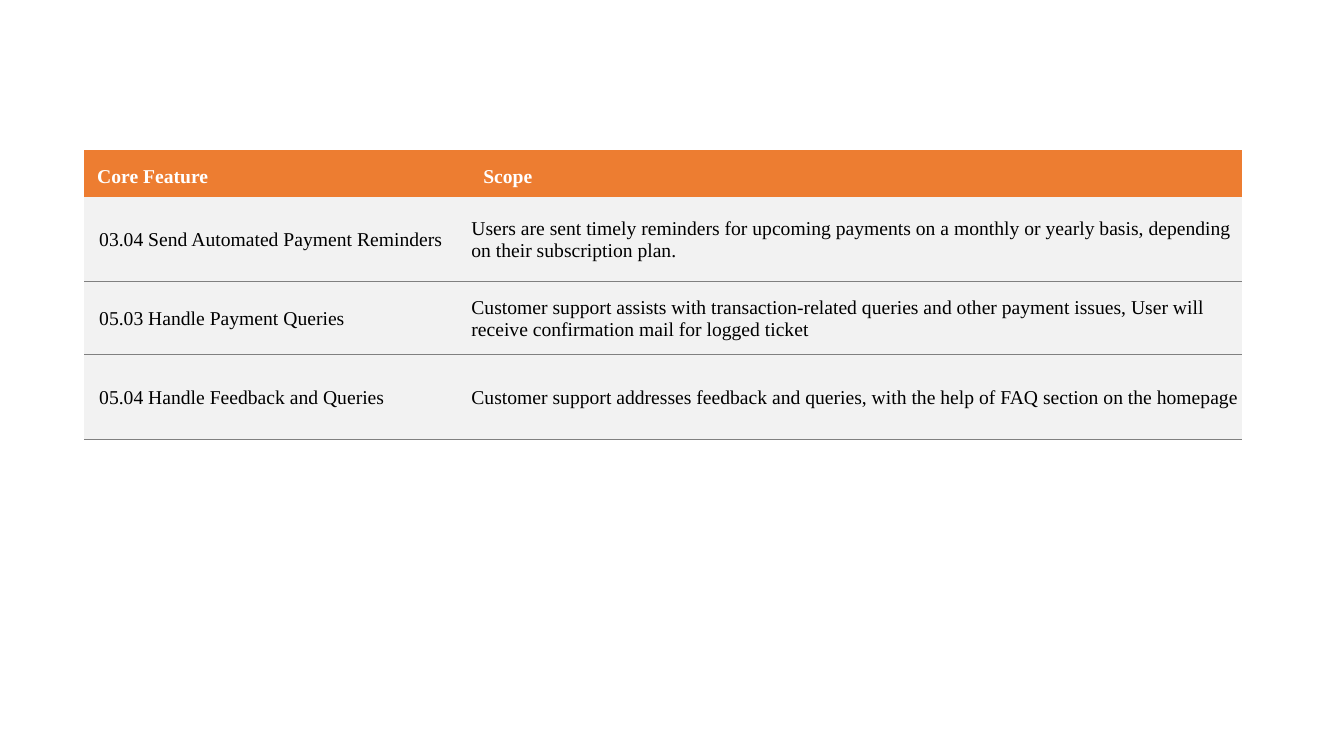
from dataclasses import dataclass

from lxml import etree
from pptx import Presentation
from pptx import util as u
from pptx.dml.color import RGBColor
from pptx.enum import text
from pptx.oxml import ns


@dataclass(frozen=True)
class Theme:
    font: str = "Times New Roman"
    size: int = 14
    header_fill: str = "ED7D31"
    header_text: str = "FFFFFF"
    body_fill: str = "F2F2F2"
    body_text: str = "000000"
    rule: str = "808080"
    rule_width: float = 0.75


HEADER = ("Core Feature", "Scope")
FEATURES = [
    ("03.04 Send Automated Payment Reminders",
     "Users are sent timely reminders for upcoming payments on a monthly or "
     "yearly basis, depending on their subscription plan."),
    ("05.03 Handle Payment Queries",
     "Customer support assists with transaction-related queries and other "
     "payment issues, User will receive confirmation mail for logged ticket"),
    ("05.04 Handle Feedback and Queries",
     "Customer support addresses feedback and queries, with the help of FAQ "
     "section on the homepage"),
]
COL_WIDTHS = (9.73, 19.46)
ROW_HEIGHTS = (1.17, 2.13, 1.85, 2.13)
HEADER_INSETS = (0.33, 0.33, 0.33, 0.18)
# Left, top, right, bottom for each body column
BODY_INSETS = ((0.38, 0.03, 0.03, 0), (0.03, 0.03, 0.03, 0))


def write(tf, content, *, font, size, color, bold=False):
    r = tf.paragraphs[0].add_run()
    r.text = content
    r.font.name = font
    r.font.size = u.Pt(size)
    r.font.bold = bold
    r.font.color.rgb = RGBColor.from_string(color)


class SlideBuilder:
    def __init__(self, prs, theme):
        self.theme = theme
        self.slide = prs.slides.add_slide(prs.slide_layouts[6])

    def borders(self, cell, ruled):
        """Set all four cell edges, with a rule on each side named in ruled."""
        tc_pr = cell._tc.get_or_add_tcPr()
        for i, side in enumerate("LRTB"):
            ln = etree.Element(ns.qn(f"a:ln{side}"))
            if side in ruled:
                ln.set("w", str(u.Pt(self.theme.rule_width)))
                fill = etree.SubElement(ln, ns.qn("a:solidFill"))
                etree.SubElement(fill, ns.qn("a:srgbClr"), val=self.theme.rule)
            else:
                ln.set("w", "0")
                etree.SubElement(ln, ns.qn("a:noFill"))
            tc_pr.insert(i, ln)

    def cell(self, cell, content, *, fill, color, insets, bold=False, ruled=""):
        cell.fill.solid()
        cell.fill.fore_color.rgb = RGBColor.from_string(fill)
        cell.vertical_anchor = text.MSO_ANCHOR.MIDDLE
        (cell.margin_left, cell.margin_top,
         cell.margin_right, cell.margin_bottom) = map(u.Cm, insets)
        write(cell.text_frame, content, font=self.theme.font,
              size=self.theme.size, color=color, bold=bold)
        self.borders(cell, ruled)

    def table(self, left, top, header, body):
        t = self.theme
        table = self.slide.shapes.add_table(
            len(body) + 1, len(header), u.Cm(left), u.Cm(top),
            u.Cm(sum(COL_WIDTHS)), u.Cm(sum(ROW_HEIGHTS))).table
        table.horz_banding = False
        for col, width in zip(table.columns, COL_WIDTHS):
            col.width = u.Cm(width)
        for row, height in zip(table.rows, ROW_HEIGHTS):
            row.height = u.Cm(height)
        for c, label in enumerate(header):
            self.cell(table.cell(0, c), label, fill=t.header_fill,
                      color=t.header_text, insets=HEADER_INSETS, bold=True)
        for r, row in enumerate(body, start=1):
            for c, content in enumerate(row):
                self.cell(table.cell(r, c), content, fill=t.body_fill,
                          color=t.body_text, insets=BODY_INSETS[c],
                          ruled="B" if r == 1 else "TB")


def main():
    prs = Presentation()
    prs.slide_width, prs.slide_height = u.Cm(33.87), u.Cm(19.05)
    SlideBuilder(prs, Theme()).table(2.12, 3.79, HEADER, FEATURES)
    prs.save("out.pptx")


if __name__ == "__main__":
    main()
